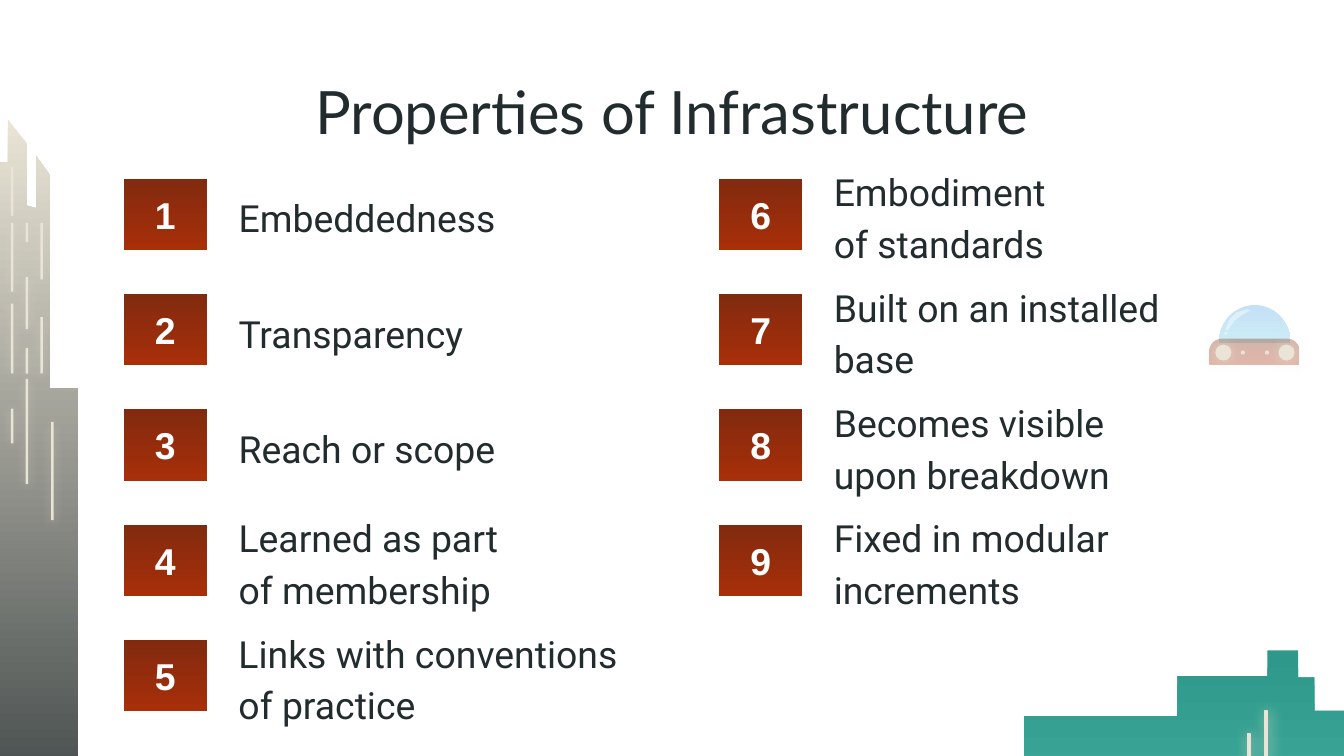
"""Build the 'Properties of Infrastructure' slide with its city scenery."""
from dataclasses import dataclass
from math import cos, pi, sin

from lxml import etree
from pptx import Presentation
from pptx.dml.color import RGBColor
from pptx.enum.shapes import MSO_SHAPE
from pptx.enum.text import MSO_ANCHOR, MSO_AUTO_SIZE, PP_ALIGN
from pptx.oxml.ns import qn
from pptx.util import Pt

RECTANGLE, OVAL = MSO_SHAPE.RECTANGLE, MSO_SHAPE.OVAL
ROUND_TOP = MSO_SHAPE.ROUND_2_SAME_RECTANGLE
TOP, MIDDLE = MSO_ANCHOR.TOP, MSO_ANCHOR.MIDDLE
CENTER, NO_FIT = PP_ALIGN.CENTER, MSO_AUTO_SIZE.NONE


@dataclass
class Theme:
    ink: str = "222B2E"
    white: str = "FFFFFF"
    light: str = "E9E4D5"
    teal: tuple = ("2E998A", "57C3B4")
    dusk: tuple = ("E9E4D5", "222B2E")
    rust: tuple = ("812A0F", "A92F09")
    glass: tuple = ("C5E0F7", "CCEDF6")
    title_size: int = 32
    body_size: int = 20
    title_font: str = "Lato"
    body_font: str = "Roboto"
    number_font: str = "Arial"


theme = Theme()


def outline(shapes, points):
    corners = [(Pt(x), Pt(y)) for x, y in points]
    builder = shapes.build_freeform(*corners[0], scale=1.0)
    builder.add_line_segments(corners[1:], close=True)
    return builder.convert_to_shape()


def dress(shape, colours, alpha=100, glow=None):
    shape.shadow.inherit = False
    if isinstance(colours, str):
        shape.fill.solid()
        shape.fill.fore_color.rgb = RGBColor.from_string(colours)
    else:
        shape.fill.gradient()
        shape.fill.gradient_angle = 270
        for stop, colour in zip(shape.fill.gradient_stops, colours):
            stop.color.rgb = RGBColor.from_string(colour)
    properties = shape._element.spPr
    if alpha < 100:
        for colour in properties.iter(qn("a:srgbClr")):
            etree.SubElement(colour, qn("a:alpha"), val=str(alpha * 1000))
    shape.line.fill.background()
    if glow:
        strength, blur, distance, angle = glow
        shadow = etree.SubElement(
            properties.find(qn("a:effectLst")), qn("a:outerShdw"),
            blurRad=str(Pt(blur)), dist=str(Pt(distance)),
            dir=str(angle * 60000), algn="bl", rotWithShape="0")
        tint = etree.SubElement(shadow, qn("a:srgbClr"), val=theme.light)
        etree.SubElement(tint, qn("a:alpha"), val=str(strength * 1000))


deck = Presentation()
deck.slide_width, deck.slide_height = Pt(720), Pt(405)
page = deck.slides.add_slide(deck.slide_layouts[5])

teal_city = page.shapes.add_group_shape().shapes
teal_skyline = outline(teal_city, [
    (679, 348.5), (679, 362.2), (630.7, 362.2), (630.7, 383.8), (548.6, 383.8),
    (548.6, 544.3), (849.6, 544.3), (849.6, 371.5), (799.2, 371.5),
    (799.2, 351.4), (746.6, 351.4), (746.6, 416.9), (732.2, 416.9),
    (732.2, 380.9), (704.2, 380.9), (704.2, 362.9), (695.5, 362.9),
    (695.5, 348.5)])
dress(teal_skyline, theme.teal)
for left, top, height in [(677.5, 380.9, 25.9), (668.2, 393.1, 46.8)]:
    window = teal_city.add_shape(RECTANGLE, Pt(left), Pt(top), Pt(1.4), Pt(height))
    dress(window, theme.light, glow=(71, 6.8, 0.8, 0))
    window.line.color.rgb = RGBColor.from_string(theme.light)
    window.line.width = Pt(0.75)

tower_city = page.shapes.add_group_shape().shapes
tower = outline(tower_city, [
    (4.3, 64.1), (4.3, 87.1), (-5.8, 87.1), (-5.8, 77), (-13.7, 77),
    (-13.7, 118.1), (-18, 118.1), (-18, 77), (-30.2, 77), (-30.2, 505.4),
    (41.8, 505.4), (41.8, 208.1), (26.6, 208.1), (26.6, 93.6), (19.4, 83.5),
    (19.4, 111.6), (14.4, 110.2), (14.4, 77)])
dress(tower, theme.dusk)
tower_windows = [
    (27.4, 226.1, 52.6, 1.5), (21.6, 169.9, 30.2, 1.5), (21.6, 119.5, 30.2, 0),
    (13.7, 186.5, 13.7, 1.5), (13.7, 148.3, 28.1, 0), (13.7, 203, 56.2, 1.5),
    (13.7, 119.5, 10.1, 0), (5.8, 89.3, 26.4, 0), (5.8, 162.7, 37.4, 0),
    (5.8, 119.5, 36.7, 0), (5.8, 218.9, 18.7, 0)]
for left, top, height, drop in tower_windows:
    window = tower_city.add_shape(RECTANGLE, Pt(left), Pt(top), Pt(1.4), Pt(height))
    dress(window, theme.light, glow=(50, 5.6, drop, 90))

saucer = page.shapes.add_group_shape().shapes
arc = [pi * step / 24 for step in range(25)]
dome = outline(saucer, [(672.2 - 19.2 * cos(a), 183.6 - 20.2 * sin(a)) for a in arc])
dress(dome, theme.glass)
shine = outline(saucer, [
    (668.2, 165.6), (670, 166.3), (665.3, 168.8), (661.3, 172), (658.1, 176.4),
    (657.4, 177.1), (656.6, 176.4), (658.4, 171.5), (662.4, 167.4)])
dress(shine, theme.white, alpha=45)
glint = saucer.add_shape(OVAL, Pt(655.9), Pt(177.8), Pt(1.7), Pt(1.6))
dress(glint, theme.white, alpha=45)
hull = saucer.add_shape(ROUND_TOP, Pt(648), Pt(181.4), Pt(48.2), Pt(13.7))
hull.adjustments[0] = 0.5
dress(hull, theme.rust, alpha=34)
for center, size in [(678.8, 2.2), (665.8, 2.2), (655.4, 8.6), (689.2, 8.6)]:
    lamp = saucer.add_shape(OVAL, Pt(center - size / 2), Pt(188.9 - size / 2),
                            Pt(size), Pt(size))
    dress(lamp, theme.light, glow=(60, 6.8, 0, 0))

title = page.shapes.title
title.left, title.top, title.width, title.height = Pt(56.2), Pt(33.1), Pt(607.6), Pt(46)
labels = [(title, "Properties of Infrastructure", TOP, CENTER, 1.0,
           theme.title_font, theme.title_size, theme.ink)]

columns = [
    (66.3, [("Embeddedness", 193.7, 44), ("Transparency", 193.7, 44),
            ("Reach or scope", 239, 61.2),
            ("Learned as part\nof membership", 239, 44),
            ("Links with conventions\nof practice", 232.6, 67)]),
    (385.2, [("Embodiment\nof standards", 240.5, 44),
             ("Built on an installed base", 201.6, 44),
             ("Becomes visible\nupon breakdown", 254.2, 61.2),
             ("Fixed in modular increments", 254.2, 44)])]
number = 0
for left, properties in columns:
    for row, (wording, width, height) in enumerate(properties):
        number += 1
        middle = 114.9 + 61.75 * row
        badge = page.shapes.add_shape(RECTANGLE, Pt(left), Pt(middle - 19.1),
                                      Pt(44.6), Pt(38.2))
        dress(badge, theme.rust)
        labels.append((badge, str(number), MIDDLE, CENTER, 1.0,
                       theme.number_font, theme.body_size, theme.white))
        box = page.shapes.add_textbox(Pt(left + 54.4), Pt(middle - height / 2),
                                      Pt(width), Pt(height))
        labels.append((box, wording, MIDDLE, None, 1.15,
                       theme.body_font, theme.body_size, theme.ink))

for box, wording, anchor, alignment, spacing, font, size, colour in labels:
    frame = box.text_frame
    frame.text = wording
    frame.word_wrap = True
    frame.auto_size = NO_FIT
    frame.vertical_anchor = anchor
    frame.margin_left = frame.margin_right = Pt(7.2)
    frame.margin_top = frame.margin_bottom = Pt(7.2)
    for para in frame.paragraphs:
        para.alignment = alignment
        para.line_spacing = spacing
        for span in para.runs:
            span.font.name = font
            span.font.size = Pt(size)
            span.font.bold = font == theme.number_font
            span.font.color.rgb = RGBColor.from_string(colour)

deck.save("out.pptx")
